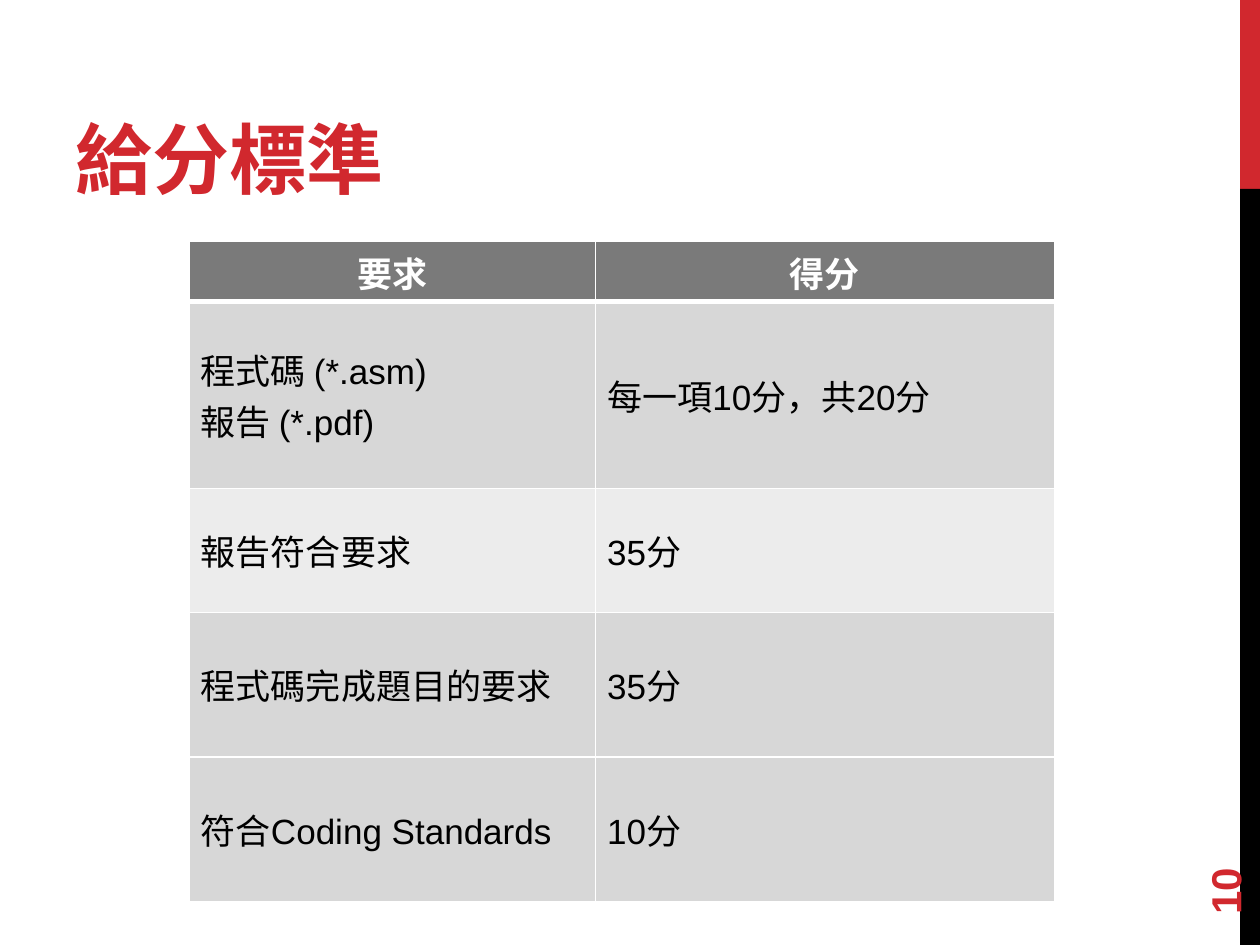
from lxml import etree
from pptx import Presentation
from pptx import util as u
from pptx.dml import color
from pptx.enum import shapes, text
from pptx.oxml import ns

RED, BLACK, WHITE, GREY = "D1282E", "000000", "FFFFFF", "7A7A7A"
DARK_BAND, LIGHT_BAND = "D7D7D7", "ECECEC"

HEADER = ("要求", "得分")
CRITERIA = [
    ("程式碼 (*.asm)\n報告 (*.pdf)", "每一項10分，共20分", DARK_BAND),
    ("報告符合要求", "35分", LIGHT_BAND),
    ("程式碼完成題目的要求", "35分", DARK_BAND),
    ("符合Coding Standards", "10分", DARK_BAND),
]
COLUMN_WIDTHS = (232.2, 262.4)
ROW_HEIGHTS = (34.4, 107, 70.8, 82.6, 82.6)


def paint(target, hex_color):
    target.solid()
    target.fore_color.rgb = color.RGBColor.from_string(hex_color)


def apply(target, formats):
    for name, value in formats.items():
        setattr(target, name, value)


def write(frame, words, hex_color, align=text.PP_ALIGN.LEFT, **formats):
    for index, line in enumerate(words.split("\n")):
        para = frame.paragraphs[0] if index == 0 else frame.add_paragraph()
        para.alignment = align
        span = para.add_run()
        span.text = line
        apply(span.font, formats)
        paint(span.font.fill, hex_color)


def add_bar(page, left, top, width, height, hex_color):
    bar = page.shapes.add_shape(
        shapes.MSO_SHAPE.RECTANGLE, *map(u.Pt, (left, top, width, height)))
    bar.shadow.inherit = False
    bar.line.fill.background()
    paint(bar.fill, hex_color)


def add_label(page, place, words, anchor, rotation=0, **formats):
    box = page.shapes.add_textbox(*map(u.Pt, place))
    box.rotation = rotation
    apply(box.text_frame, {"word_wrap": True, "vertical_anchor": anchor})
    write(box.text_frame, words, RED, bold=True, **formats)


def set_borders(cell, **widths):
    properties = cell._tc.get_or_add_tcPr()
    for index, side in enumerate("LRTB"):
        line = etree.Element(ns.qn(f"a:ln{side}"), w=str(u.Pt(widths.get(side, 1))))
        fill = etree.SubElement(line, ns.qn("a:solidFill"))
        etree.SubElement(fill, ns.qn("a:srgbClr"), val=WHITE)
        properties.insert(index, line)


def fill_cell(cell, words, band, hex_color, anchor, align, bold, borders):
    apply(cell, {
        "vertical_anchor": anchor,
        "margin_left": u.Pt(6.8), "margin_right": u.Pt(6.8),
        "margin_top": u.Pt(3.2), "margin_bottom": u.Pt(3.2),
    })
    paint(cell.fill, band)
    write(cell.text_frame, words, hex_color, align,
          name="Arial", size=u.Pt(20), bold=bold)
    set_borders(cell, **borders)


def add_score_table(page):
    table = page.shapes.add_table(
        len(ROW_HEIGHTS), len(COLUMN_WIDTHS), u.Pt(108), u.Pt(137.8),
        u.Pt(sum(COLUMN_WIDTHS)), u.Pt(sum(ROW_HEIGHTS))).table
    for column, width in zip(table.columns, COLUMN_WIDTHS):
        column.width = u.Pt(width)
    for row, height in zip(table.rows, ROW_HEIGHTS):
        row.height = u.Pt(height)
    for column, words in enumerate(HEADER):
        fill_cell(table.cell(0, column), words, GREY, WHITE,
                  text.MSO_ANCHOR.TOP, text.PP_ALIGN.CENTER, True, {"B": 3})
    for row, (*entries, band) in enumerate(CRITERIA, 1):
        borders = {"T": 3} if row == 1 else {}
        for column, words in enumerate(entries):
            fill_cell(table.cell(row, column), words, band, BLACK,
                      text.MSO_ANCHOR.MIDDLE, text.PP_ALIGN.LEFT, False, borders)


def main():
    deck = Presentation()
    apply(deck, {"slide_width": u.Pt(720), "slide_height": u.Pt(540)})
    page = deck.slides.add_slide(deck.slide_layouts[6])
    add_bar(page, 708.6, 0, 11.4, 108, RED)
    add_bar(page, 708.6, 108, 11.4, 432, BLACK)
    add_label(page, (36, 12, 456, 108), "給分標準", text.MSO_ANCHOR.BOTTOM,
              name="Montserrat", size=u.Pt(44))
    add_label(page, (648, 463.5, 103.7, 28.8), "10", text.MSO_ANCHOR.MIDDLE,
              rotation=270, name="Arial", size=u.Pt(24))
    add_score_table(page)
    deck.save("out.pptx")


main()
